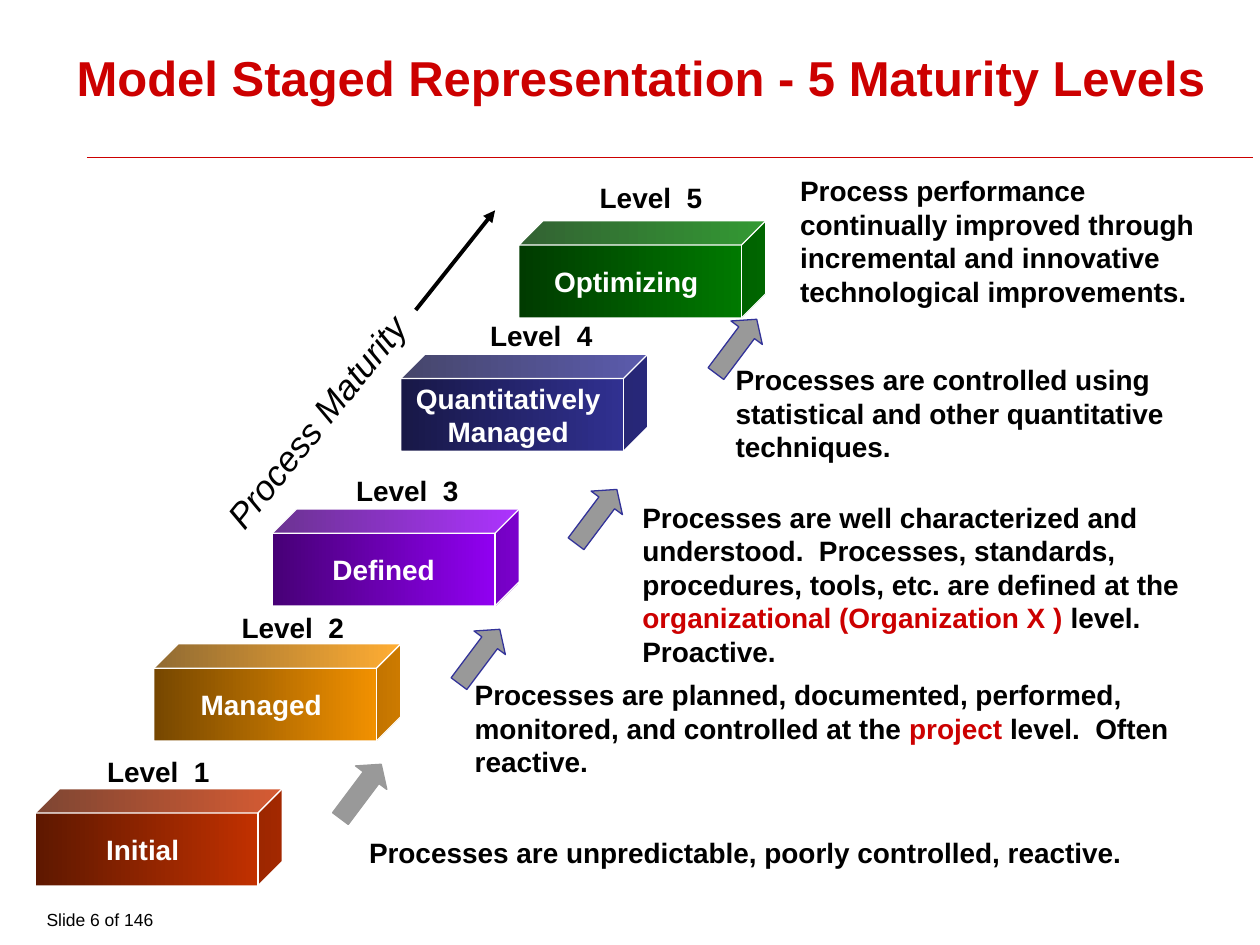
from typing import NamedTuple

from lxml import etree
from pptx import Presentation
from pptx.dml.color import RGBColor
from pptx.enum.shapes import MSO_CONNECTOR, MSO_SHAPE
from pptx.enum.text import MSO_ANCHOR, MSO_AUTO_SIZE, PP_ALIGN
from pptx.oxml.ns import qn
from pptx.util import Cm, Pt

FONT = "Arial"
BLACK, WHITE, RED = "000000", "FFFFFF", "CC0000"
GREY, NAVY = "999999", "333399"
CUBE_SIZE = (4.98, 1.96)
ARROW_SIZE = (0.79, 1.37)
LABEL_SIZE = (2.8, 0.94)


class Level(NamedTuple):
    name_lines: list
    shades: tuple
    cube_at: tuple
    label_at: tuple
    practice_box: tuple
    practice: list  # (text, colour) runs


LEVELS = [
    Level(["Initial "], ("5E1800", "CC3300"), (0.71, 15.9), (1.91, 15.09),
          (7.19, 16.71, 17.15, 0.94),
          [("Processes are unpredictable, poorly controlled, reactive.", BLACK)]),
    Level(["Managed "], ("764700", "FF9900"), (3.1, 12.98), (4.62, 12.19),
          (9.32, 13.54, 15.01, 2.29),
          [("Processes are planned, documented, performed, monitored, "
            "and controlled at the ", BLACK),
           ("project", RED),
           (" level.  Often reactive.", BLACK)]),
    Level(["Defined"], ("470076", "9900FF"), (5.49, 10.26), (6.93, 9.42),
          (12.7, 9.96, 13.28, 3.66),
          [("Processes are well characterized and understood.  Processes, "
            "standards, procedures, tools, etc. are defined at the ", BLACK),
           ("organizational (Organization X ) ", RED),
           ("level.  Proactive.", BLACK)]),
    Level(["Quantitatively ", "Managed "], ("181847", "333399"),
          (8.08, 7.14), (9.63, 6.3),
          (14.58, 7.19, 10.82, 2.29),
          [("Processes are controlled using statistical and other "
            "quantitative techniques.", BLACK)]),
    Level(["Optimizing "], ("003B00", "008000"), (10.46, 4.45), (11.84, 3.51),
          (15.88, 3.38, 8.89, 2.97),
          [("Process performance continually improved through incremental "
            "and innovative technological improvements.", BLACK)]),
]

# Position and outline of the arrow leading up from each level
ARROWS = [((6.88, 15.27), GREY), ((9.27, 12.55), NAVY),
          ((11.63, 9.73), NAVY), ((14.45, 6.3), NAVY)]


def colour(value):
    return RGBColor.from_string(value)


def lengths(values):
    return [Cm(value) for value in values]


def add_run(paragraph, text, size, shade, bold=False, italic=False):
    run = paragraph.add_run()
    run.text = text
    font = run.font
    font.name, font.size = FONT, Pt(size)
    font.bold, font.italic = bold, italic
    font.color.rgb = colour(shade)


def add_text(slide, box, runs, size=16, bold=True, italic=False, wrap=True):
    """Add a one-paragraph text box from (text, colour) runs."""
    text_box = slide.shapes.add_textbox(*lengths(box))
    frame = text_box.text_frame
    frame.word_wrap = wrap
    frame.auto_size = MSO_AUTO_SIZE.SHAPE_TO_FIT_TEXT
    for text, shade in runs:
        add_run(frame.paragraphs[0], text, size, shade, bold, italic)
    return text_box


def add_line(slide, start, end, shade, width, arrowhead=False):
    """Add a straight line that takes nothing from the theme's line style."""
    line = slide.shapes.add_connector(MSO_CONNECTOR.STRAIGHT,
                                      *lengths(start + end))
    line.line.color.rgb = colour(shade)
    line.line.width = Pt(width)
    if arrowhead:
        outline = line.line._get_or_add_ln()
        etree.SubElement(outline, qn("a:tailEnd"), type="triangle")
    etree.SubElement(line._element.spPr, qn("a:effectLst"))
    line._element.remove(line._element.find(qn("p:style")))


def add_outlined_shape(slide, preset, position, size, outline):
    shape = slide.shapes.add_shape(preset, *lengths(position + size))
    shape.shadow.inherit = False
    shape.line.color.rgb = colour(outline)
    shape.line.width = Pt(0.75)
    return shape


def add_cube(slide, level):
    cube = add_outlined_shape(slide, MSO_SHAPE.CUBE, level.cube_at,
                              CUBE_SIZE, WHITE)
    cube.fill.gradient()
    cube.fill.gradient_angle = 0
    for stop, shade in zip(cube.fill.gradient_stops, level.shades):
        stop.color.rgb = colour(shade)
    frame = cube.text_frame
    frame.word_wrap = False
    frame.vertical_anchor = MSO_ANCHOR.MIDDLE
    for index, name_line in enumerate(level.name_lines):
        paragraph = frame.add_paragraph() if index else frame.paragraphs[0]
        paragraph.alignment = PP_ALIGN.CENTER
        add_run(paragraph, name_line, 16, WHITE, bold=True)


def add_arrow(slide, position, outline):
    arrow = add_outlined_shape(slide, MSO_SHAPE.UP_ARROW, position,
                               ARROW_SIZE, outline)
    arrow.adjustments[0], arrow.adjustments[1] = 0.5, 0.43
    arrow.rotation = 36.9
    arrow.fill.solid()
    arrow.fill.fore_color.rgb = colour(GREY)


def set_title(slide, text):
    title = slide.shapes.title
    title.left, title.top, title.width, title.height = lengths(
        (1.07, 0.84, 23.7, 1.47))
    frame = title.text_frame
    frame.auto_size = MSO_AUTO_SIZE.NONE
    frame.vertical_anchor = MSO_ANCHOR.MIDDLE
    paragraph = frame.paragraphs[0]
    paragraph.alignment = PP_ALIGN.CENTER
    paragraph.line_spacing = Pt(32)
    add_run(paragraph, text, 28, RED, bold=True)


def add_page_number(slide, text):
    page = add_text(slide, (0.69, 18.14, 2.87, 0.74), [(text, BLACK)],
                    size=10, bold=False, wrap=False)
    page.text_frame.auto_size = MSO_AUTO_SIZE.NONE
    page.text_frame.vertical_anchor = MSO_ANCHOR.BOTTOM


def main():
    deck = Presentation()
    deck.slide_width, deck.slide_height = Cm(25.4), Cm(19.05)
    slide = deck.slides.add_slide(deck.slide_layouts[5])

    set_title(slide, "Model Staged Representation - 5 Maturity Levels")
    add_line(slide, (1.75, 3.18), (25.25, 3.18), RED, 0.75)
    add_page_number(slide, "Slide 6 of 146")

    for number, level in enumerate(LEVELS, start=1):
        add_cube(slide, level)
        add_text(slide, level.label_at + LABEL_SIZE,
                 [(f"Level  {number}", BLACK)], wrap=False)
        add_text(slide, level.practice_box, level.practice)
    for position, outline in ARROWS:
        add_arrow(slide, position, outline)

    axis_name = add_text(slide, (3.48, 7.92, 5.82, 1.12),
                         [("Process Maturity", BLACK)],
                         size=20, bold=False, italic=True)
    axis_name.rotation = 308.9
    add_line(slide, (8.38, 6.25), (9.98, 4.24), BLACK, 2.25, arrowhead=True)

    deck.save("out.pptx")


if __name__ == "__main__":
    main()
